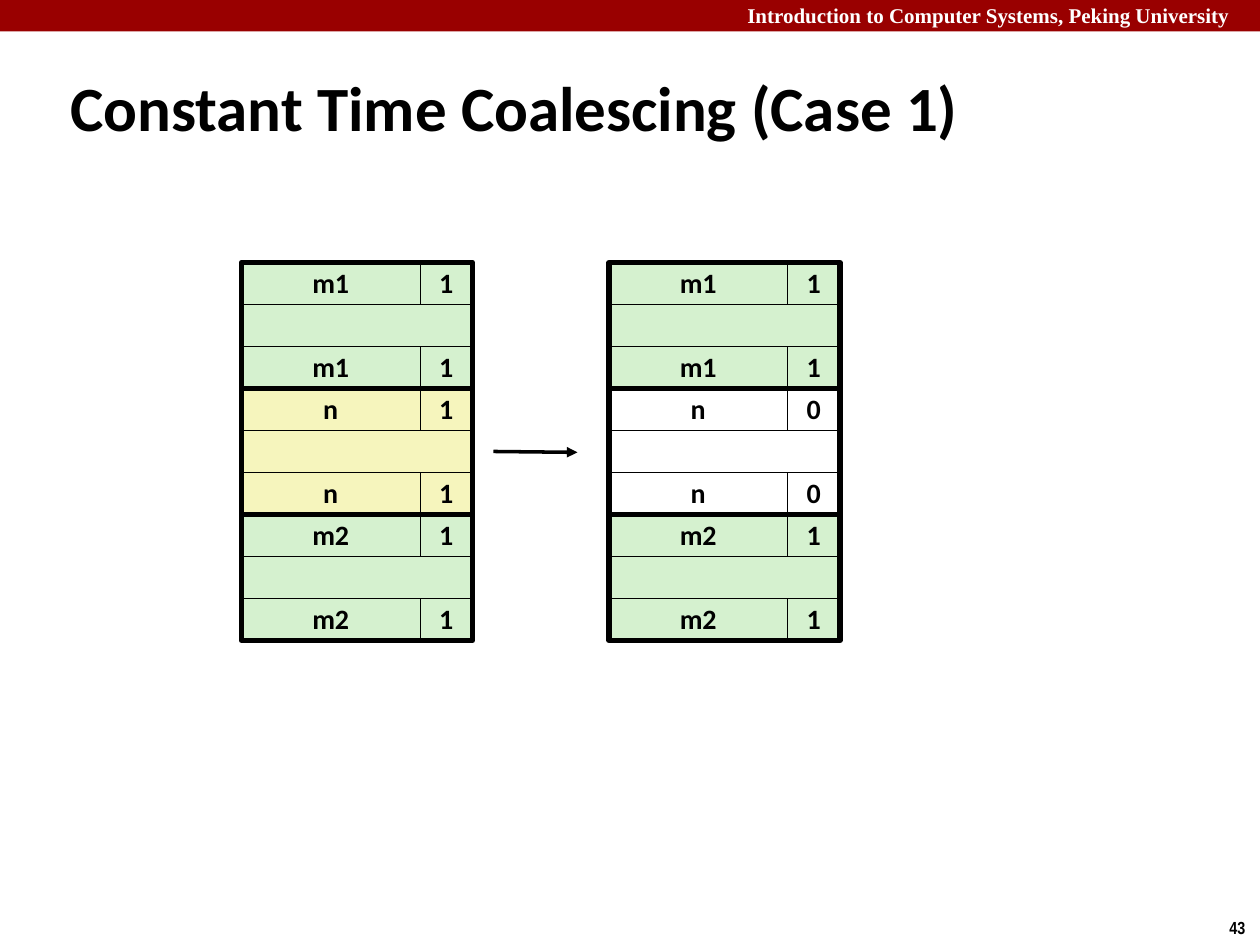
"""Build the slide on constant time coalescing, case 1."""
from lxml import etree
from pptx import Presentation
from pptx.dml.color import RGBColor
from pptx.enum.shapes import MSO_CONNECTOR, MSO_SHAPE
from pptx.enum.text import MSO_ANCHOR, PP_ALIGN
from pptx.oxml.ns import qn
from pptx.util import Pt

RECT = MSO_SHAPE.RECTANGLE
STRAIGHT = MSO_CONNECTOR.STRAIGHT
MIDDLE = MSO_ANCHOR.MIDDLE
LEFT, CENTER = PP_ALIGN.LEFT, PP_ALIGN.CENTER

BLACK = RGBColor(0x00, 0x00, 0x00)
WHITE = RGBColor(0xFF, 0xFF, 0xFF)
RED = RGBColor(0x99, 0x00, 0x00)
GREEN = RGBColor(0xD5, 0xF1, 0xCF)
YELLOW = RGBColor(0xF6, 0xF5, 0xBD)

TOP, ROW, SIZE_W, FLAG_W = 150, 24, 102, 30
BLOCK_W = SIZE_W + FLAG_W
COLUMNS = [
    (138, [("m1", "1", GREEN), ("n", "1", YELLOW), ("m2", "1", GREEN)]),
    (348, [("m1", "1", GREEN), ("n", "0", WHITE), ("m2", "1", GREEN)]),
]


def write(tf, text, size, name, color, align=LEFT):
    p = tf.paragraphs[0]
    p.alignment = align
    r = p.add_run()
    r.text = text
    r.font.color.rgb = color
    for key, value in {"size": Pt(size), "name": name, "bold": True}.items():
        setattr(r.font, key, value)
    return p


def add_box(x, y, w, h, fill=None, line=None, text=""):
    sp = s.shapes.add_shape(RECT, Pt(x), Pt(y), Pt(w), Pt(h))
    sp.shadow.inherit = False
    if fill is None:
        sp.fill.background()
    else:
        sp.fill.solid()
        sp.fill.fore_color.rgb = fill
    if line is None:
        sp.line.fill.background()
    else:
        sp.line.color.rgb = BLACK
        sp.line.width = Pt(line)
    if text:
        tf = sp.text_frame
        tf.word_wrap = False
        tf.vertical_anchor = MIDDLE
        write(tf, text, 16, "Calibri", BLACK, CENTER).line_spacing = 0.98


prs = Presentation()
prs.slide_width, prs.slide_height = Pt(720), Pt(540)
s = prs.slides.add_slide(prs.slide_layouts[5])

add_box(0, 0, 720, 18, RED)
for text, size, name, color, wrap, x, y, w, h in [
    ("Introduction to Computer Systems, Peking University",
     12, "Times New Roman", WHITE, True, 420, -2, 305, 21.6),
    ("43", 10, "Arial Narrow", BLACK, False, 695.5, 520.5, 24.5, 19.5),
]:
    tf = s.shapes.add_textbox(Pt(x), Pt(y), Pt(w), Pt(h)).text_frame
    tf.word_wrap = wrap
    write(tf, text, size, name, color)

title = s.shapes.title
for key, value in {"left": 33, "top": 38, "width": 654, "height": 45.5}.items():
    setattr(title, key, Pt(value))
title.text_frame.vertical_anchor = MIDDLE
write(title.text_frame, "Constant Time Coalescing (Case 1)", 36, "Calibri", BLACK)

for x, blocks in COLUMNS:
    for i, (size, flag, fill) in enumerate(blocks):
        y = TOP + i * 3 * ROW
        for tag_y in (y, y + 2 * ROW):
            add_box(x, tag_y, SIZE_W, ROW, fill, 0.25, size)
            add_box(x + SIZE_W, tag_y, FLAG_W, ROW, fill, 0.25, flag)
        add_box(x, y + ROW, BLOCK_W, ROW, fill, 0.25)
        add_box(x, y, BLOCK_W, 3 * ROW, line=3)

arrow = s.shapes.add_connector(STRAIGHT, Pt(282), Pt(258), Pt(330), Pt(258.5))
arrow.line.color.rgb = BLACK
arrow.line.width = Pt(2)
etree.SubElement(arrow.line._get_or_add_ln(), qn("a:tailEnd"), type="triangle")
etree.SubElement(arrow._element.spPr, qn("a:effectLst"))

prs.save("out.pptx")
